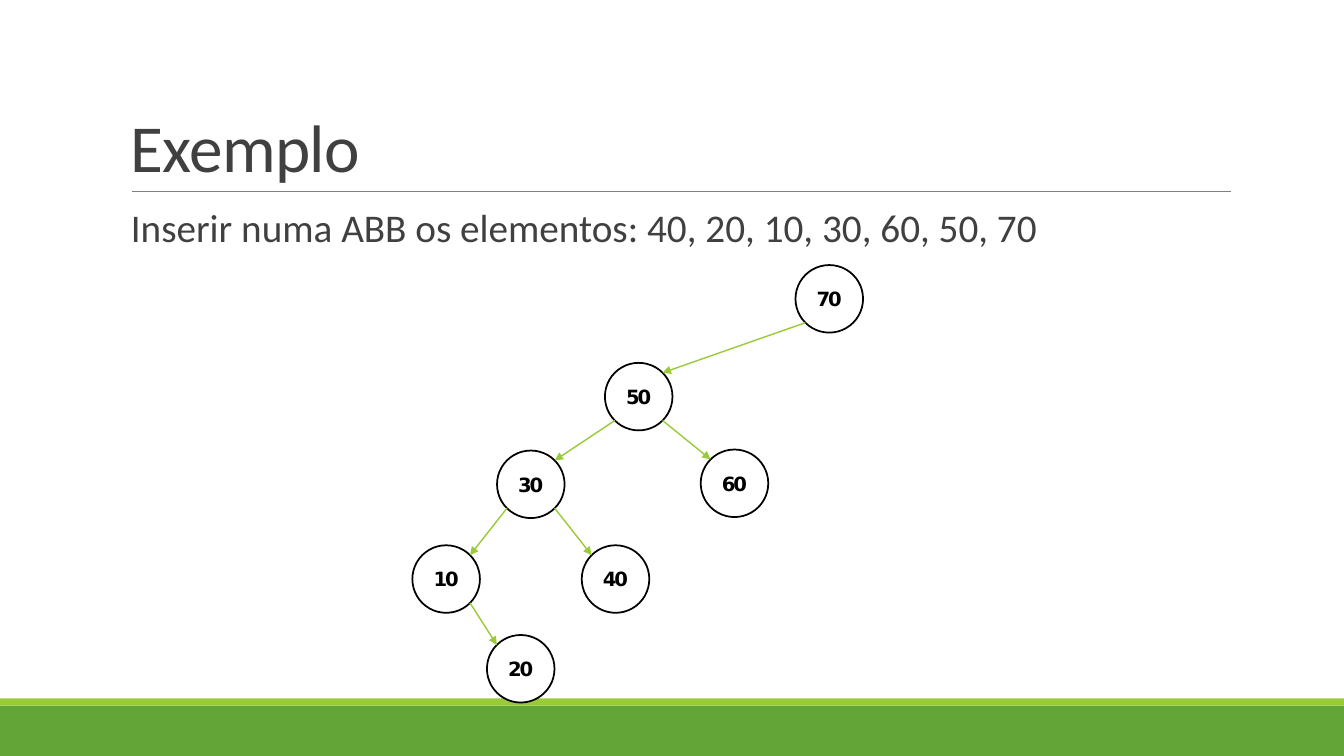
from dataclasses import dataclass
from math import sqrt

from lxml.etree import SubElement
from pptx import Presentation
from pptx.dml.color import RGBColor
from pptx.enum.shapes import MSO_CONNECTOR, MSO_SHAPE
from pptx.enum.text import MSO_ANCHOR, PP_ALIGN
from pptx.oxml.ns import qn
from pptx.util import Inches, Pt


@dataclass(frozen=True)
class Theme:
    green: RGBColor = RGBColor(0x63, 0xA5, 0x37)
    lime: RGBColor = RGBColor(0x99, 0xCB, 0x38)
    rule: RGBColor = RGBColor(0x80, 0x80, 0x80)
    text: RGBColor = RGBColor(0x40, 0x40, 0x40)
    black: RGBColor = RGBColor(0, 0, 0)
    white: RGBColor = RGBColor(0xFF, 0xFF, 0xFF)
    body_font: str = "Calibri"
    key_font: str = "DejaVu Sans"
    title_size: int = 48
    body_size: int = 28
    key_size: int = 14


THEME = Theme()
WIDTH, HEIGHT = 13.33, 7.5
NODE_SIZE = 0.67
# Left and top of each tree node within the tree area
NODES = {
    "40": (1.68, 2.78), "20": (0.74, 3.67), "10": (0, 2.78), "30": (0.84, 1.84),
    "60": (2.86, 1.83), "50": (1.91, 0.97), "70": (3.8, 0),
}
# Parent and child
BRANCHES = [("70", "50"), ("50", "60"), ("50", "30"),
            ("30", "10"), ("10", "20"), ("30", "40")]


def write(frame, text, font, size, color, bold=False, tracking=0, **formats):
    """Fill a text frame with one paragraph in the given format."""
    paragraph = frame.paragraphs[0]
    for name, value in formats.items():
        setattr(paragraph, name, value)
    run = paragraph.add_run()
    run.text = text
    for name, value in {"name": font, "size": Pt(size), "bold": bold}.items():
        setattr(run.font, name, value)
    run.font.color.rgb = color
    if tracking:
        run._r.get_or_add_rPr().set("spc", str(round(tracking * 100)))


def add_line(slide, start, end, color, width, arrow=False):
    line = slide.shapes.add_connector(
        MSO_CONNECTOR.STRAIGHT, *(Inches(v) for v in (*start, *end)))
    line.line.color.rgb = color
    line.line.width = Pt(width)
    if arrow:
        SubElement(line.line._get_or_add_ln(), qn("a:tailEnd"), type="triangle")
    SubElement(line._element.spPr, qn("a:effectLst"))


def add_filled(slide, preset, box, fill):
    shape = slide.shapes.add_shape(preset, *(Inches(v) for v in box))
    shape.shadow.inherit = False
    shape.fill.solid()
    shape.fill.fore_color.rgb = fill
    shape.line.fill.background()
    return shape


def add_text_box(slide, box, anchor):
    frame = slide.shapes.add_textbox(*(Inches(v) for v in box)).text_frame
    frame.word_wrap = True
    frame.vertical_anchor = anchor
    return frame


def add_footer(slide, left, top, width, height):
    """Green band with a thin lime stripe on its upper edge."""
    stripe = 0.07
    add_filled(slide, MSO_SHAPE.RECTANGLE,
               (left, top + stripe, width, height - stripe), THEME.green)
    add_filled(slide, MSO_SHAPE.RECTANGLE, (left, top, width, stripe), THEME.lime)


def add_heading(slide, left, top, width, height):
    """Title standing on a thin rule."""
    bottom = top + height
    add_line(slide, (left + 0.11, bottom), (left + width + 0.01, bottom),
             THEME.rule, 0.5)
    title = add_text_box(slide, (left, top, width, height), MSO_ANCHOR.BOTTOM)
    write(title, "Exemplo", THEME.body_font, THEME.title_size, THEME.text,
          tracking=-0.5, line_spacing=0.85)


def add_task(slide, left, top, width, height):
    task = add_text_box(slide, (left, top, width, height), MSO_ANCHOR.TOP)
    write(task, "Inserir numa ABB os elementos: 40, 20, 10, 30, 60, 50, 70",
          THEME.body_font, THEME.body_size, THEME.text,
          line_spacing=0.9, space_after=Pt(2))


def add_tree(slide, left, top):
    """Binary search tree: round nodes joined by arrows on their diagonals."""
    radius = NODE_SIZE / 2
    reach = radius / sqrt(2)
    centers = {}
    for key, (x, y) in NODES.items():
        centers[key] = (left + x + radius, top + y + radius)
        node = add_filled(slide, MSO_SHAPE.OVAL,
                          (left + x, top + y, NODE_SIZE, NODE_SIZE), THEME.white)
        node.line.color.rgb = THEME.black
        node.line.width = Pt(1.25)
        frame = node.text_frame
        for name, value in {"margin_left": 0, "margin_right": 0,
                            "vertical_anchor": MSO_ANCHOR.MIDDLE}.items():
            setattr(frame, name, value)
        write(frame, key, THEME.key_font, THEME.key_size, THEME.black,
              bold=True, tracking=-1.5, alignment=PP_ALIGN.CENTER)

    for parent, child in BRANCHES:
        (px, py), (cx, cy) = centers[parent], centers[child]
        shift = reach if cx > px else -reach
        add_line(slide, (px + shift, py + reach), (cx - shift, cy - reach),
                 THEME.lime, 1, arrow=True)


def main():
    deck = Presentation()
    deck.slide_width, deck.slide_height = Inches(WIDTH), Inches(HEIGHT)
    slide = deck.slides.add_slide(deck.slide_layouts[6])
    add_footer(slide, 0, 6.93, WIDTH, HEIGHT - 6.93)
    add_heading(slide, 1.2, 0.31, 11, 1.59)
    add_task(slide, 1.2, 2.02, 11, 4.4)
    add_tree(slide, 4.09, 2.63)
    deck.save("out.pptx")


if __name__ == "__main__":
    main()
